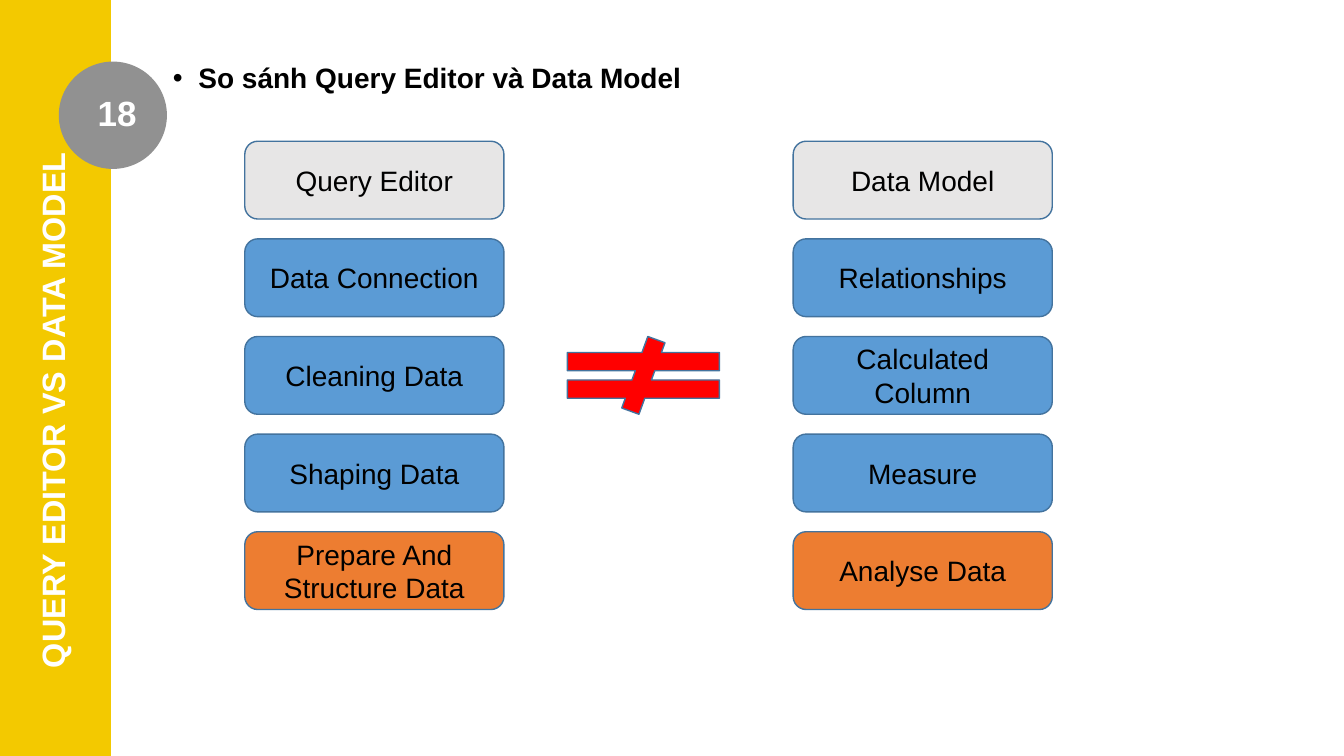
from dataclasses import dataclass

from lxml import etree
from pptx import Presentation
from pptx.dml.color import RGBColor
from pptx.enum import shapes, text
from pptx.oxml import ns
from pptx.util import Cm, Pt

KIND = shapes.MSO_SHAPE
ALIGN = text.PP_ALIGN
WHITE, BLACK, EDGE = "FFFFFF", "000000", "43739E"
BLUE, GOLD, GREY = "5B9BD5", "F3C900", "919191"
FILLS = ["E7E6E6", BLUE, BLUE, BLUE, "ED7D31"]
TOP, STEP, WIDE, HIGH = 3.56, 2.46, 6.53, 1.96


@dataclass
class Area:
    left: float
    top: float
    width: float
    height: float

    def cm(self) -> list:
        return [Cm(n) for n in (self.left, self.top, self.width, self.height)]


@dataclass
class Stack:
    left: float
    labels: list[str]


STACKS = [
    Stack(6.17, ["Query Editor", "Data Connection", "Cleaning Data",
                 "Shaping Data", "Prepare And Structure Data"]),
    Stack(19.99, ["Data Model", "Relationships", "Calculated Column",
                  "Measure", "Analyse Data"]),
]


def color(code: str) -> RGBColor:
    return RGBColor.from_string(code)


def draw(slide, kind, area: Area, fill: str, line: str):
    shape = slide.shapes.add_shape(kind, *area.cm())
    shape.shadow.inherit = False
    shape.fill.solid()
    shape.fill.fore_color.rgb = color(fill)
    shape.line.color.rgb = color(line)
    shape.line.width = Pt(1)
    return shape


def write(shape, words: str, size: float, ink: str, bold=False,
          align=ALIGN.CENTER, anchor=text.MSO_ANCHOR.TOP):
    frame = shape.text_frame
    frame.text = words
    frame.word_wrap = True
    frame.auto_size = text.MSO_AUTO_SIZE.NONE
    frame.vertical_anchor = anchor
    para = frame.paragraphs[0]
    para.alignment = align
    font = para.font
    font.name, font.size, font.bold = "Arial", Pt(size), bold
    font.color.rgb = color(ink)
    return para


def trim(shape) -> None:
    """Remove the side insets."""
    shape.text_frame.margin_left = shape.text_frame.margin_right = 0
    shape.text_frame.margin_top = shape.text_frame.margin_bottom = Cm(0.2)


def bullet(para) -> None:
    props = para._p.get_or_add_pPr()
    props.set("marL", str(Cm(0.64)))
    props.set("indent", str(-Cm(0.64)))
    etree.SubElement(props, ns.qn("a:buFont"), typeface="Arial")
    etree.SubElement(props, ns.qn("a:buChar"), char="•")


def side(slide) -> None:
    """Draw the side band with its title and page number."""
    draw(slide, KIND.RECTANGLE, Area(0, 0, 2.77, 19.05), GOLD, GOLD)
    draw(slide, KIND.OVAL, Area(1.5, 1.57, 2.69, 2.67), GREY, GREY)

    title = slide.shapes.title
    area = Area(-5.28, 9.47, 13.54, 1.73)
    title.left, title.top, title.width, title.height = area.cm()
    title.rotation = 270
    write(title, "QUERY EDITOR VS DATA MODEL", 23.1, WHITE, True)
    trim(title)
    slide.shapes._spTree.append(title._element)

    page = slide.shapes.add_textbox(*Area(2.34, 2.11, 1.22, 1.47).cm())
    write(page, "18", 25, WHITE, True)
    trim(page)


def main() -> None:
    deck = Presentation()
    deck.slide_width, deck.slide_height = Cm(33.87), Cm(19.05)
    slide = deck.slides.add_slide(deck.slide_layouts.get_by_name("Title Only"))
    side(slide)

    head = slide.shapes.add_textbox(*Area(4.11, 1.5, 17.09, 2.06).cm())
    para = write(head, "So sánh Query Editor và Data Model", 20, BLACK, True,
                 ALIGN.LEFT)
    para.line_spacing = 0.9
    bullet(para)

    for stack in STACKS:
        for row, (label, fill) in enumerate(zip(stack.labels, FILLS)):
            area = Area(stack.left, TOP + row * STEP, WIDE, HIGH)
            box = draw(slide, KIND.ROUNDED_RECTANGLE, area, fill, EDGE)
            write(box, label, 20, BLACK, anchor=text.MSO_ANCHOR.MIDDLE)

    sign = Area(13.61, TOP + 2 * STEP, 5.21, HIGH)
    draw(slide, KIND.MATH_NOT_EQUAL, sign, "FF0000", EDGE)
    deck.save("out.pptx")


if __name__ == "__main__":
    main()
